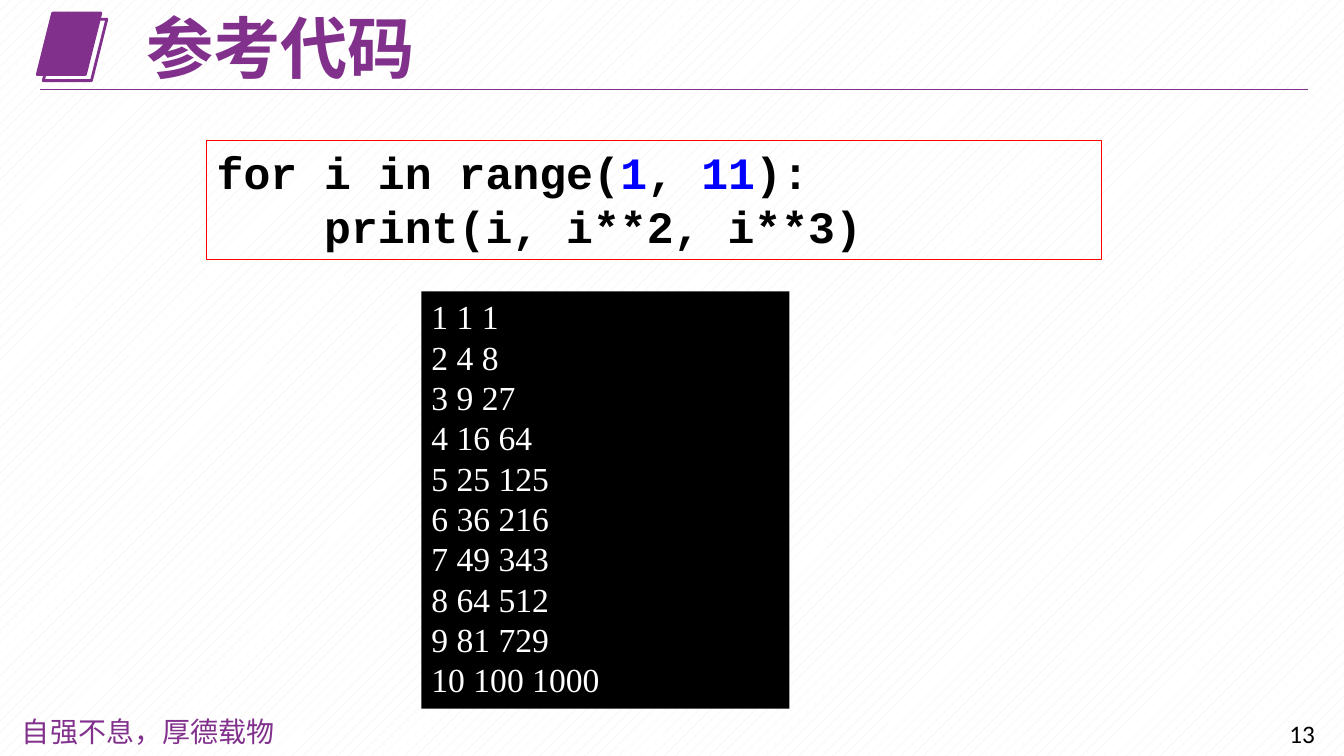
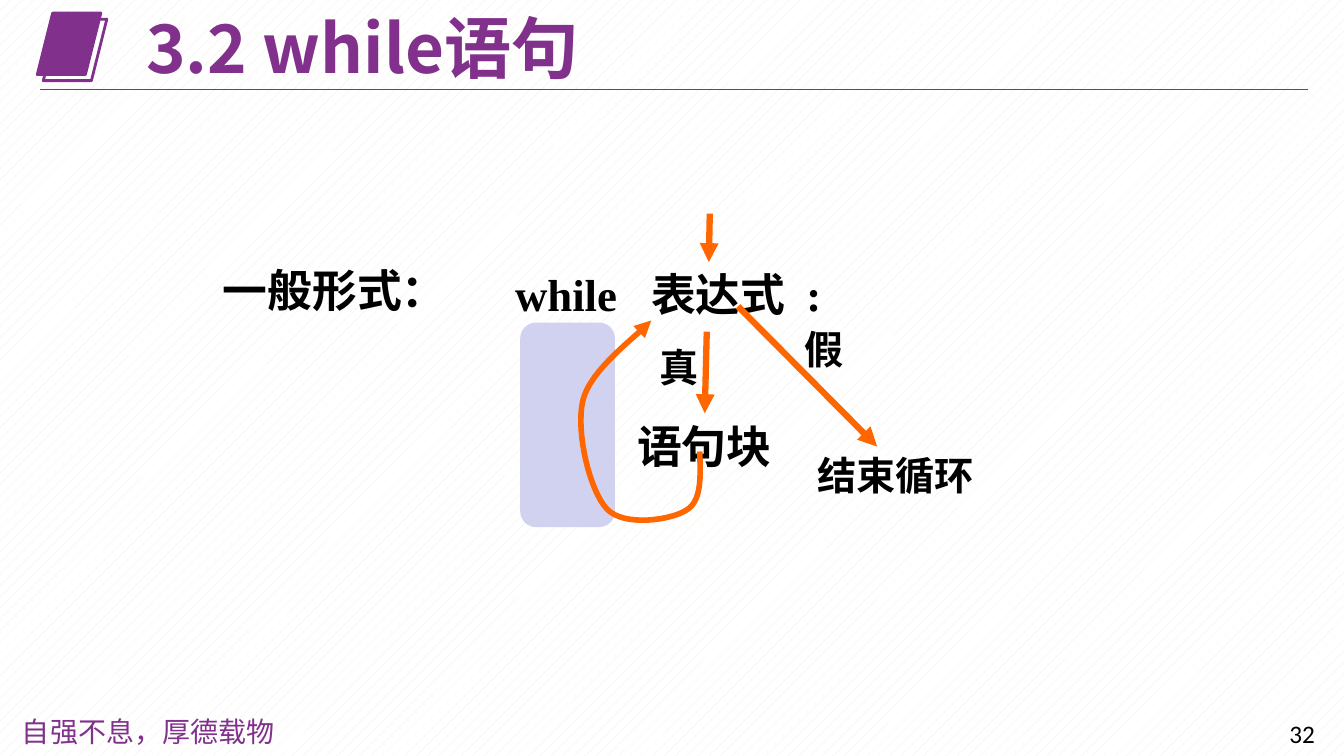
from lxml.etree import SubElement
from pptx import Presentation
from pptx.dml.color import RGBColor
from pptx.enum.dml import MSO_PATTERN
from pptx.enum.shapes import MSO_CONNECTOR, MSO_SHAPE
from pptx.enum.text import MSO_ANCHOR, MSO_AUTO_SIZE, PP_ALIGN
from pptx.oxml.ns import qn
from pptx.util import Inches, Pt

COLORS = {
    "purple": "81308C", "black": "000000", "white": "FFFFFF", "red": "FF0000",
    "blue": "0000FF", "orange": "FF6600", "lilac": "D1D1F0", "cream": "EEECE1",
}
CJK, CODE_FONT, SERIF = "Noto Sans CJK SC", "Courier New", "Times New Roman"

# Content
MOTTO = "自强不息，厚德载物"
CODE = [
    [("for i in range(", "black"), ("1", "blue"), (", ", "black"),
     ("11", "blue"), ("):", "black")],
    [("    print(i, i**2, i**3)", "black")],
]
OUTPUT = [[(f"{i} {i**2} {i**3}", "white")] for i in range(1, 11)]

# Flow labels: text, left, top, width, size
LABELS = [
    ("一般形式：", 2.11, 2.56, 2.45, 32),
    ("while\t表达式\t:", 5.01, 2.6, 3.4, 32),
    ("语句块", 6.22, 4.11, 1.6, 32),
    ("假", 7.88, 3.18, 0.6, 28),
    ("结束循环", 8.01, 4.43, 1.78, 28),
    ("真", 6.44, 3.36, 0.6, 28),
]
STATEMENT_TABS = (1.35, 2.89)
ARROWS = [
    ((7.04, 2.12), (7.03, 2.6)),
    ((7.32, 3.04), (8.7, 4.43)),
    ((7.01, 3.29), (6.99, 4.1)),
]
# Loop-back curve: a start point, then three control points per segment
LOOP_START = (6.94, 4.48)
LOOP_SEGMENTS = [
    ((6.95, 4.73), (6.96, 4.97), (6.81, 5.06)),
    ((6.66, 5.16), (6.19, 5.23), (6.02, 5.05)),
    ((5.85, 4.87), (5.71, 4.29), (5.78, 3.98)),
    ((5.85, 3.66), (6.34, 3.32), (6.46, 3.18)),
]


def rgb(name):
    return RGBColor.from_string(COLORS[name])


def box(*lengths):
    return [Inches(length) for length in lengths]


def style(run, size, color, font, bold=False, east_asian=CJK):
    run.font.size, run.font.bold, run.font.name = Pt(size), bold, font
    run.font.color.rgb = rgb(color)
    SubElement(run.font._element, qn("a:ea"), typeface=east_asian)


def add_tabs(paragraph, stops):
    tabs = SubElement(paragraph._p.get_or_add_pPr(), qn("a:tabLst"))
    for stop in stops:
        SubElement(tabs, qn("a:tab"), pos=str(Inches(stop)), algn="l")


def add_label(slide, text, place, size, color="black", font=SERIF,
              bold=True, east_asian=CJK, tabs=()):
    frame = slide.shapes.add_textbox(*box(*place)).text_frame
    frame.word_wrap = True
    paragraph = frame.paragraphs[0]
    if tabs:
        add_tabs(paragraph, tabs)
    paragraph.text = text
    style(paragraph.runs[0], size, color, font, bold, east_asian)


def add_panel(slide, preset, place, fill=None, line=None, width=0.75):
    panel = slide.shapes.add_shape(preset, *box(*place))
    panel.shadow.inherit = False
    if fill:
        panel.fill.solid()
        panel.fill.fore_color.rgb = rgb(fill)
    else:
        panel.fill.background()
    if line:
        panel.line.color.rgb = rgb(line)
        panel.line.width = Pt(width)
    else:
        panel.line.fill.background()
    return panel


def write_lines(panel, lines, size, font, bold=False):
    frame = panel.text_frame
    frame.word_wrap = True
    frame.vertical_anchor = MSO_ANCHOR.TOP
    for number, parts in enumerate(lines):
        paragraph = frame.add_paragraph() if number else frame.paragraphs[0]
        paragraph.alignment = PP_ALIGN.LEFT
        paragraph.line_spacing = Pt(size * 1.2)
        for text, color in parts:
            run = paragraph.add_run()
            run.text = text
            style(run, size, color, font, bold)


def add_arrowhead(line):
    SubElement(line._get_or_add_ln(), qn("a:tailEnd"), type="triangle")


def add_line(slide, start, end, color, width, arrow=False):
    connector = slide.shapes.add_connector(
        MSO_CONNECTOR.STRAIGHT, *box(*start, *end))
    connector.line.color.rgb = rgb(color)
    connector.line.width = Pt(width)
    if arrow:
        add_arrowhead(connector.line)
    SubElement(connector._element.spPr, qn("a:effectLst"))


def curve_points(start, segments, steps=16):
    for first, second, end in segments:
        for step in range(1, steps + 1):
            t = step / steps
            weights = ((1 - t)**3, 3 * t * (1 - t)**2, 3 * t**2 * (1 - t), t**3)
            corners = (start, first, second, end)
            yield tuple(Inches(sum(w * c[axis] for w, c in zip(weights, corners)))
                        for axis in (0, 1))
        start = end


def add_loop(slide):
    builder = slide.shapes.build_freeform(*box(*LOOP_START))
    builder.add_line_segments(curve_points(LOOP_START, LOOP_SEGMENTS), close=False)
    loop = builder.convert_to_shape()
    loop.shadow.inherit = False
    loop.fill.background()
    loop.line.color.rgb = rgb("orange")
    loop.line.width = Pt(4)
    add_arrowhead(loop.line)


def new_slide(deck, heading, page):
    """Slide with the shared title, emblem, rule and footer."""
    slide = deck.slides.add_slide(deck.slide_layouts[5])
    add_label(slide, MOTTO, (0.12, 7.04, 2.9, 0.44), 20, "purple",
              "Noto Sans CJK JP", False, "Noto Sans CJK JP")
    add_label(slide, str(page), (12.69, 7.08, 0.61, 0.4), 18,
              font="Calibri", bold=False)
    for offset, fill in ((0, "purple"), (0.06, None)):
        add_panel(slide, MSO_SHAPE.PARALLELOGRAM,
                  (0.37 + offset, 0.13 + offset, 0.63, 0.61), fill, "purple", 2)
    add_line(slide, (0.4, 0.89), (12.97, 0.89), "purple", 0.75)

    title = slide.shapes.title
    title.left, title.top, title.width, title.height = box(1.35, 0.13, 7.02, 0.76)
    frame = title.text_frame
    frame.text = heading
    frame.auto_size = MSO_AUTO_SIZE.NONE
    frame.vertical_anchor = MSO_ANCHOR.MIDDLE
    paragraph = frame.paragraphs[0]
    paragraph.alignment = PP_ALIGN.LEFT
    paragraph.line_spacing = 0.9
    style(paragraph.runs[0], 48, "purple", CJK, True)
    return slide


def build_code_slide(deck):
    slide = new_slide(deck, "参考代码", 13)
    listing = add_panel(slide, MSO_SHAPE.RECTANGLE, (2.05, 1.39, 8.88, 1.18),
                        line="red")
    write_lines(listing, CODE, 32, CODE_FONT, bold=True)
    console = add_panel(slide, MSO_SHAPE.RECTANGLE, (4.18, 2.89, 3.65, 4.14),
                        fill="black")
    write_lines(console, OUTPUT, 24, SERIF)


def build_while_slide(deck):
    slide = new_slide(deck, "3.2 while语句", 32)
    add_panel(slide, MSO_SHAPE.ROUNDED_RECTANGLE, (5.16, 3.2, 0.94, 2.03),
              fill="lilac")
    for text, left, top, width, size in LABELS:
        add_label(slide, text, (left, top, width, 0.7), size,
                  tabs=STATEMENT_TABS if "\t" in text else ())
    for start, end in ARROWS:
        add_line(slide, start, end, "orange", 4.5, arrow=True)
    add_loop(slide)


def main():
    deck = Presentation()
    deck.slide_width, deck.slide_height = box(13.33, 7.5)
    # Shared background
    backdrop = deck.slide_master.background.fill
    backdrop.patterned()
    backdrop.pattern = MSO_PATTERN.PERCENT_10
    backdrop.fore_color.rgb = rgb("cream")
    backdrop.back_color.rgb = rgb("white")

    build_code_slide(deck)
    build_while_slide(deck)
    deck.save("out.pptx")


if __name__ == "__main__":
    main()
